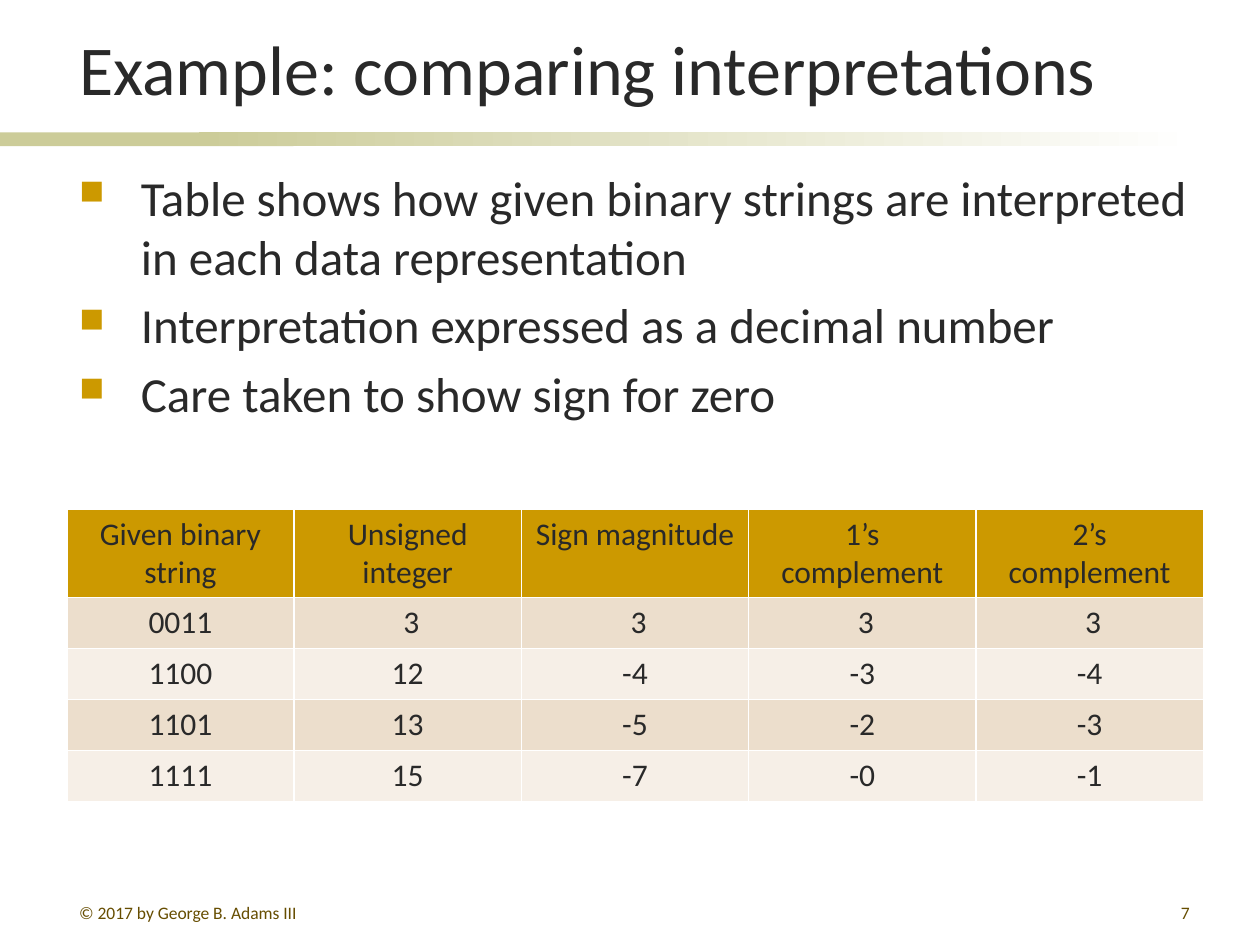
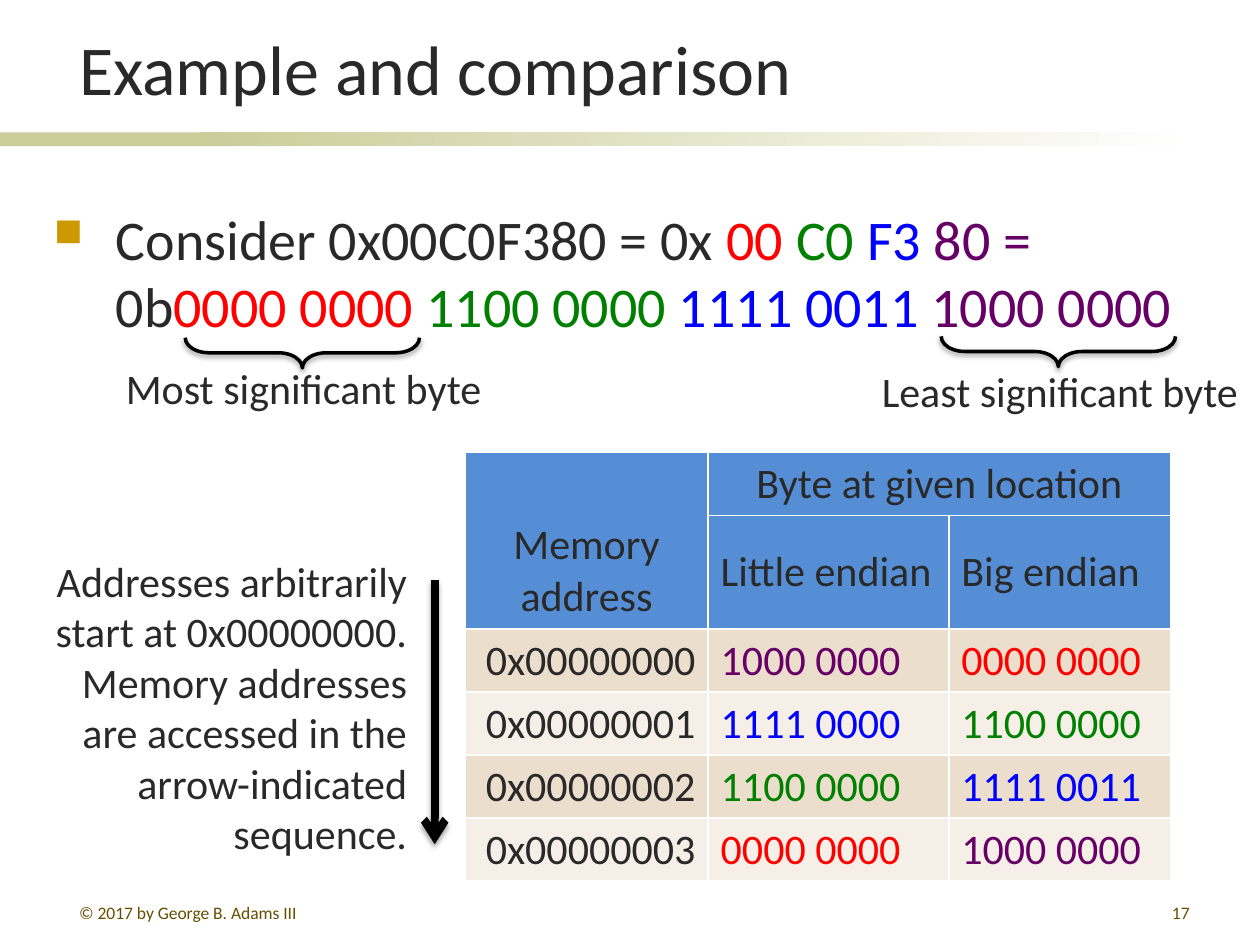
from lxml.etree import SubElement
from pptx import Presentation
from pptx.dml.color import RGBColor
from pptx.enum.shapes import MSO_CONNECTOR, MSO_SHAPE
from pptx.enum.text import MSO_ANCHOR, PP_ALIGN
from pptx.oxml.ns import qn
from pptx.util import Inches, Pt

INK = RGBColor(0x29, 0x29, 0x29)
BROWN = RGBColor(0x66, 0x4D, 0x00)
GOLD = RGBColor(0xCC, 0x99, 0x00)
OLIVE = RGBColor(0xCC, 0xCC, 0x99)
SAND = RGBColor(0xEC, 0xDE, 0xCC)
CREAM = RGBColor(0xF6, 0xEF, 0xE7)
SKY = RGBColor(0x55, 0x8E, 0xD5)
WHITE = RGBColor(0xFF, 0xFF, 0xFF)
BLACK = RGBColor(0x00, 0x00, 0x00)
RED = RGBColor(0xFF, 0x00, 0x00)
GREEN = RGBColor(0x00, 0x80, 0x00)
BLUE = RGBColor(0x00, 0x00, 0xFF)
PURPLE = RGBColor(0x66, 0x00, 0x66)

FONT = "Calibri"
LEFT, MID, RIGHT = PP_ALIGN.LEFT, PP_ALIGN.CENTER, PP_ALIGN.RIGHT
BYTES = {"0000 0000": RED, "1100 0000": GREEN, "1111 0011": BLUE,
         "1111 0000": BLUE, "1000 0000": PURPLE}


def place(box):
    """Turn a box in inches into lengths."""
    return [Inches(n) for n in box]


def tag(parent, name, **attrs):
    """Add a drawing element with its attributes."""
    return SubElement(parent, qn("a:" + name), {k: str(v) for k, v in attrs.items()})


def tint(parent, color):
    """Add a solid fill element."""
    return tag(tag(parent, "solidFill"), "srgbClr", val=color)


def mark(para, size):
    """Give a paragraph a square gold bullet."""
    para.space_before = Pt(size * 0.2)
    props = para._p.get_or_add_pPr()
    props.set("marL", str(Inches(0.49)))
    props.set("indent", str(Inches(-0.49)))
    tag(tag(props, "buClr"), "srgbClr", val=GOLD)
    tag(props, "buSzPct", val=70000)
    tag(props, "buChar", char="■")


def write(frame, *paras, size=18, color=INK, align=LEFT, anchor=MSO_ANCHOR.TOP,
          wrap=True, bullet=False):
    """Fill a text frame; a paragraph is a string or a list of coloured runs."""
    frame.word_wrap = wrap
    frame.vertical_anchor = anchor
    for i, runs in enumerate(paras):
        para = frame.add_paragraph() if i else frame.paragraphs[0]
        para.alignment = align
        if bullet:
            mark(para, size)
        for text, ink in [(runs, color)] if isinstance(runs, str) else runs:
            if text == "\n":
                para.add_line_break()
                continue
            run = para.add_run()
            run.text = text
            run.font.name, run.font.size = FONT, Pt(size)
            run.font.bold, run.font.color.rgb = False, ink


def label(shapes, box, *paras, **style):
    """Add a text box."""
    write(shapes.add_textbox(*place(box)).text_frame, *paras, **style)


def shade(shape):
    """Give a shape or line a soft shadow straight below."""
    props = shape._element.spPr
    for old in props.findall(qn("a:effectLst")):
        props.remove(old)
    glow = tag(tag(props, "effectLst"), "outerShdw", blurRad=Pt(3.1), dist=Pt(1.6),
               dir=5400000, rotWithShape=0)
    tag(tag(glow, "srgbClr", val=BLACK), "alpha", val=38000)


def band(slide, box, fade=False):
    """Draw a plain or fading bar under the title."""
    bar = slide.shapes.add_shape(MSO_SHAPE.RECTANGLE, *place(box))
    bar.shadow.inherit = False
    bar.line.fill.background()
    if fade:
        bar.fill.gradient()
        bar.fill.gradient_angle = 0
        for stop, color in zip(bar.fill.gradient_stops, (OLIVE, WHITE)):
            stop.color.rgb = color
    else:
        bar.fill.solid()
        bar.fill.fore_color.rgb = OLIVE


def base(deck, title, page):
    """Start a slide with its bands, title and footers."""
    slide = deck.slides.add_slide(deck.slide_layouts[6])
    band(slide, (0, 1.05, 2.33, 0.11))
    band(slide, (1.58, 1.05, 7.92, 0.11), fade=True)
    label(slide.shapes, (0.53, 0.11, 9.01, 0.81), title, size=40,
          anchor=MSO_ANCHOR.BOTTOM)
    foot = {"size": 10, "color": BROWN}
    label(slide.shapes, (0.53, 7.11, 2.17, 0.21),
          "© 2017 by George B. Adams III", **foot)
    label(slide.shapes, (7.46, 7.11, 2.08, 0.21), str(page), align=RIGHT, **foot)
    return slide


def edge(cell):
    """Draw thin white borders round a cell."""
    props = cell._tc.get_or_add_tcPr()
    for side in "LRTB":
        tint(tag(props, "ln" + side, w=Pt(1)), WHITE)


def grid(slide, box, rows, wide, high, aligns, heads, fill, size):
    """Add a table with filled head rows and banded body rows."""
    table = slide.shapes.add_table(len(rows), len(wide), *place(box)).table
    for col, width in zip(table.columns, wide):
        col.width = Inches(width)
    for r, texts in enumerate(rows):
        table.rows[r].height = Inches(high[r])
        for c, text in enumerate(texts):
            cell = table.cell(r, c)
            edge(cell)
            cell.fill.solid()
            cell.fill.fore_color.rgb = fill if r < heads else (SAND, CREAM)[(r - heads) % 2]
            if text:
                write(cell.text_frame, text, size=size, align=aligns[c],
                      color=BYTES.get(text, INK))
    return table


def brace(slide, box, text, spot):
    """Draw a brace under a byte and name it."""
    curve = slide.shapes.add_shape(MSO_SHAPE.LEFT_BRACE, *place(box))
    curve.rotation = 270
    curve.adjustments[0], curve.adjustments[1] = 0.787, 0.5
    curve.fill.background()
    curve.line.color.rgb, curve.line.width = BLACK, Pt(2)
    shade(curve)
    label(slide.shapes, spot, text, size=24, wrap=False)


def order(slide, box, text):
    """Place a note with a down arrow on its right."""
    left, top, width, height = box
    group = slide.shapes.add_group_shape().shapes
    x = left + width + 0.12
    line = group.add_connector(MSO_CONNECTOR.STRAIGHT,
                               *place((x, top + 0.24, x, top + 2.34)))
    line.line.color.rgb, line.line.width = BLACK, Pt(4.5)
    tag(line.line._get_or_add_ln(), "tailEnd", type="arrow")
    shade(line)
    label(group, box, text, size=24, align=RIGHT)


def codes(deck):
    """Build the slide on readings of binary strings."""
    slide = base(deck, "Example: comparing interpretations", 7)
    label(slide.shapes, (0.53, 1.28, 9.02, 2.36),
          "Table shows how given binary strings are interpreted in each data representation",
          "Interpretation expressed as a decimal number",
          "Care taken to show sign for zero", size=28, bullet=True)
    rows = [["Given binary string", "Unsigned integer", "Sign magnitude",
             "1’s complement", "2’s complement"],
            ["0011"] + [" 3"] * 4,
            ["1100", "12", "-4", "-3", "-4"],
            ["1101", "13", "-5", "-2", "-3"],
            ["1111", "15", "-7", "-0", "-1"]]
    grid(slide, (0.53, 4.04, 9.02, 2.32), rows, [1.804] * 5, [0.7] + [0.405] * 4,
         [MID] * 5, 1, GOLD, 18)


def endian(deck):
    """Build the slide on byte order."""
    slide = base(deck, "Example and comparison", 17)
    runs = [("Consider 0x00C0F380 = 0x ", INK), ("00 ", RED), ("C0 ", GREEN),
            ("F3 ", BLUE), ("80 =", PURPLE), ("\n", INK), ("0b", INK),
            ("0000 0000 ", RED), ("1100 0000 ", GREEN), ("1111 0011 ", BLUE),
            ("1000 0000", PURPLE)]
    label(slide.shapes, (0.33, 1.57, 9.17, 4.95), runs, size=32, bullet=True)
    brace(slide, (2.28, 1.87, 0.24, 1.86), "Most significant byte", (0.9, 2.83, 3.07, 0.5))
    brace(slide, (8.28, 1.86, 0.24, 1.86), "Least significant byte", (6.9, 2.85, 3.07, 0.5))
    big = ["0000 0000", "1100 0000", "1111 0011", "1000 0000"]
    small = ["1000 0000", "1111 0000", "1100 0000", "0000 0000"]
    rows = [["Memory address", "Byte at given location", ""],
            ["", "Little endian", "Big endian"]]
    rows += [[f"0x{i:08}", *pair] for i, pair in enumerate(zip(small, big))]
    table = grid(slide, (3.69, 3.59, 5.59, 3.39), rows, [1.93, 1.91, 1.76],
                 [0.5, 0.89] + [0.5] * 4, [RIGHT, LEFT, LEFT], 2, SKY, 24)
    table.cell(0, 0).merge(table.cell(1, 0))
    table.cell(0, 1).merge(table.cell(0, 2))
    for c in (0, 1):
        table.cell(0, c).text_frame.paragraphs[0].alignment = MID
        table.cell(1, c + 1).vertical_anchor = MSO_ANCHOR.MIDDLE
    table.cell(0, 0).vertical_anchor = MSO_ANCHOR.BOTTOM
    order(slide, (0.33, 4.36, 3, 2.52),
          "Addresses arbitrarily start at 0x00000000. Memory addresses are "
          "accessed in the arrow-indicated sequence.")


def main():
    """Build and save the deck."""
    deck = Presentation()
    deck.slide_width, deck.slide_height = Inches(10), Inches(7.5)
    codes(deck)
    endian(deck)
    deck.save("out.pptx")


main()
